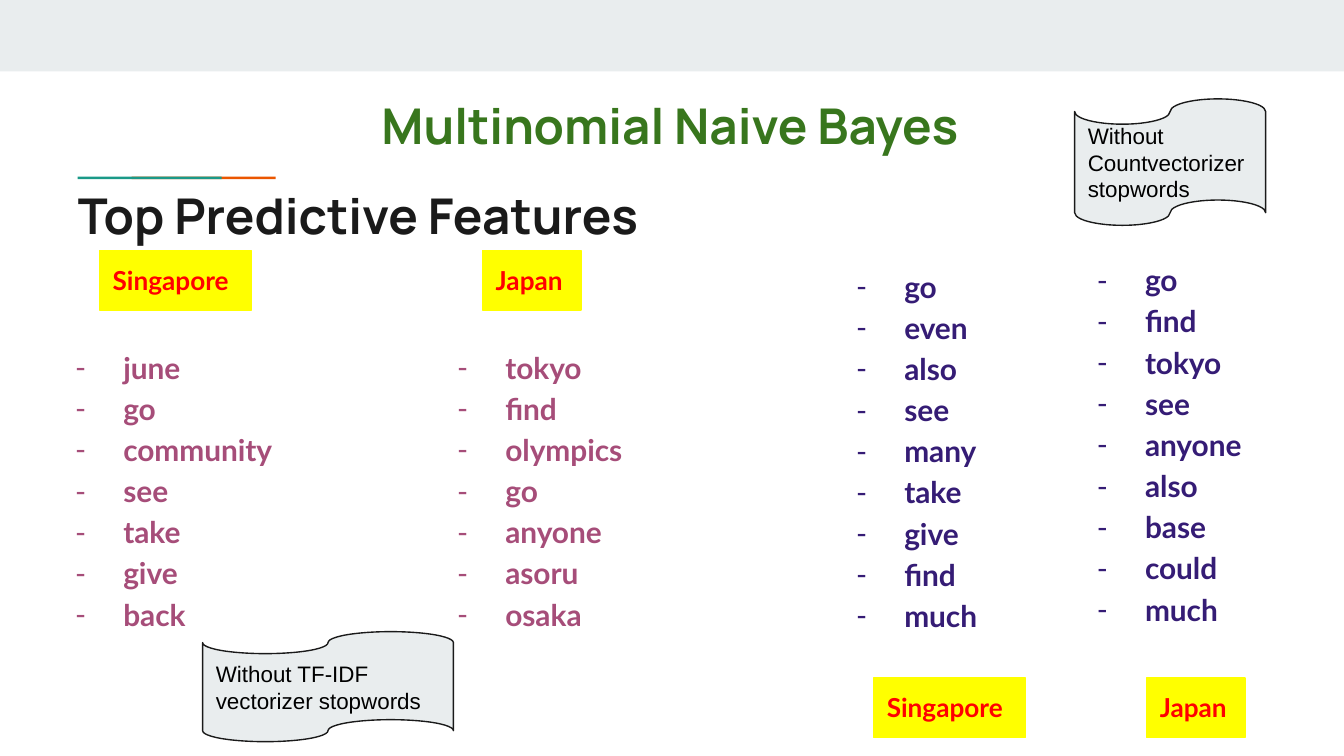
from lxml import etree
from pptx import Presentation
from pptx.dml.color import RGBColor
from pptx.enum.shapes import MSO_SHAPE
from pptx.enum.text import MSO_ANCHOR, MSO_AUTO_SIZE, PP_ALIGN
from pptx.oxml.ns import qn
from pptx.util import Cm, Pt

RECT = MSO_SHAPE.RECTANGLE
TAPE = MSO_SHAPE.FLOWCHART_PUNCHED_TAPE
TOP = MSO_ANCHOR.TOP
MIDDLE = MSO_ANCHOR.MIDDLE
FIXED = MSO_AUTO_SIZE.NONE
LEFT = PP_ALIGN.LEFT

GRAY = RGBColor(0xE9, 0xED, 0xEE)
ORANGE = RGBColor(0xEB, 0x56, 0x00)
TEAL = RGBColor(0x1A, 0x99, 0x88)
INK = RGBColor(0x1A, 0x1A, 0x1A)
GREEN = RGBColor(0x38, 0x76, 0x1D)
PLUM = RGBColor(0xA6, 0x4D, 0x79)
INDIGO = RGBColor(0x35, 0x1C, 0x75)
YELLOW = RGBColor(0xFF, 0xFF, 0x00)
RED = RGBColor(0xFF, 0x00, 0x00)
BLACK = RGBColor(0, 0, 0)

LISTS = [
    ((0.81, 6.25, 7.06, 7.2), PLUM, "june go community see take give back"),
    ((8.03, 6.25, 4.88, 7.2), PLUM, "tokyo find olympics go anyone asoru osaka"),
    ((15.57, 4.72, 4.72, 7.67), INDIGO, "go even also see many take give find much"),
    ((20.12, 4.6, 4.95, 8.5), INDIGO, "go find tokyo see anyone also base could much"),
]
TAGS = [
    ("Singapore", 1.88, 4.74, 2.87),
    ("Japan", 9.12, 4.74, 1.86),
    ("Singapore", 16.51, 12.82, 2.87),
    ("Japan", 21.67, 12.82, 1.86),
]
NOTES = [
    ("Without TF-IDF vectorizer stopwords", (3.83, 11.94, 4.74, 2.08)),
    ("Without Countvectorizer stopwords", (20.31, 1.87, 3.61, 2.39)),
]


def place(shape, box):
    shape.left, shape.top, shape.width, shape.height = map(Cm, box)


def write(shape, lines, size, face, color, bold=True, anchor=TOP):
    frame = shape.text_frame
    frame.text = "\n".join(lines)
    frame.word_wrap = True
    frame.auto_size = FIXED
    frame.vertical_anchor = anchor
    frame.margin_left = frame.margin_right = Cm(0.25)
    frame.margin_top = frame.margin_bottom = Cm(0.25)
    for para in frame.paragraphs:
        para.alignment = LEFT
        para.space_before = Pt(0)
        for run in para.runs:
            font = run.font
            font.size, font.name, font.bold = Pt(size), face, bold
            font.color.rgb = color


def add_dash(para, color):
    props = para._p.get_or_add_pPr()
    props.set("marL", str(Cm(1.27)))
    props.set("indent", str(-Cm(0.91)))
    tint = etree.SubElement(props, qn("a:buClr"))
    etree.SubElement(tint, qn("a:srgbClr"), val=str(color))
    etree.SubElement(props, qn("a:buFont"), typeface="Lato")
    etree.SubElement(props, qn("a:buChar"), char="-")


def fill_list(holder, box, color, words):
    place(holder, box)
    write(holder, words.split(), 16, "Lato", color)
    for para in holder.text_frame.paragraphs:
        para.line_spacing = 1.15
        add_dash(para, color)


def add_block(slide, kind, box, fill, line=None):
    shape = slide.shapes.add_shape(kind, *map(Cm, box))
    shape.shadow.inherit = False
    shape.fill.solid()
    shape.fill.fore_color.rgb = fill
    if line is None:
        shape.line.fill.background()
    else:
        shape.line.color.rgb = line
        shape.line.width = Pt(0.75)
    return shape


def add_tag(slide, name, left, top, width):
    tag = add_block(slide, RECT, (left, top, width, 1.12), YELLOW, YELLOW)
    write(tag, [name], 14, "Lato", RED)


def add_note(slide, text, box):
    note = add_block(slide, TAPE, box, GRAY, INK)
    write(note, [text], 12, "Arial", BLACK, False, MIDDLE)


def add_head(slide):
    title = slide.shapes.title
    place(title, (1.22, 3.25, 21.36, 1.5))
    write(title, ["Top Predictive Features"], 26.4, "Manrope", INK)
    model = slide.shapes.add_textbox(*map(Cm, (6.96, 1.55, 11.86, 1.5)))
    write(model, ["Multinomial Naive Bayes"], 26.4, "Manrope", GREEN)


def main():
    deck = Presentation()
    deck.slide_width, deck.slide_height = Cm(25.4), Cm(14.29)
    slide = deck.slides.add_slide(deck.slide_layouts[4])
    add_block(slide, RECT, (0, 0, 25.4, 1.35), GRAY)
    add_block(slide, RECT, (2.49, 3.34, 2.72, 0.05), ORANGE)
    add_block(slide, RECT, (1.47, 3.34, 2.72, 0.05), TEAL)
    add_head(slide)
    bodies = list(slide.placeholders)[1:]
    for holder, (box, color, words) in zip(bodies, LISTS):
        fill_list(holder, box, color, words)
    for tag in TAGS:
        add_tag(slide, *tag)
    for note in NOTES:
        add_note(slide, *note)
    deck.save("out.pptx")


main()
